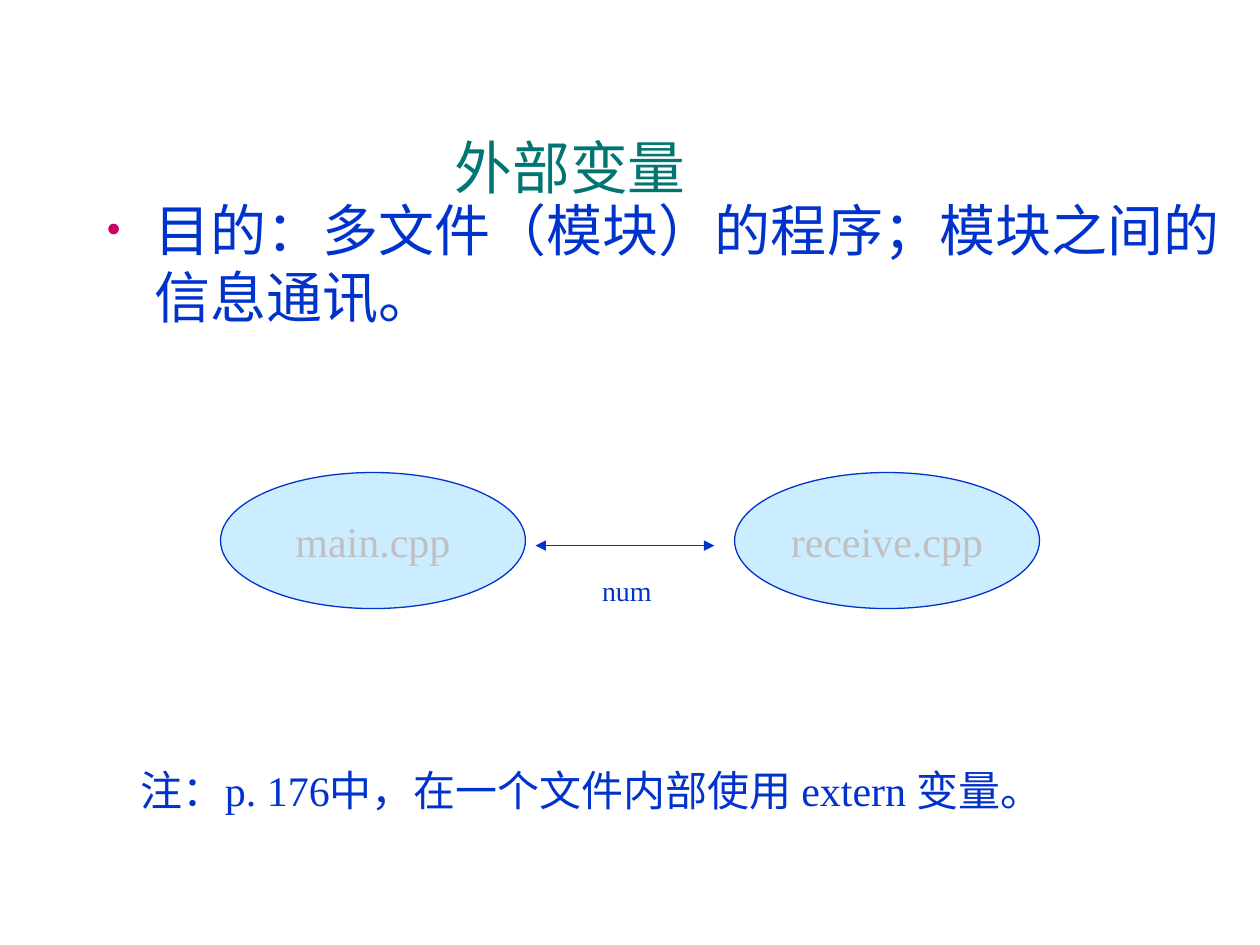
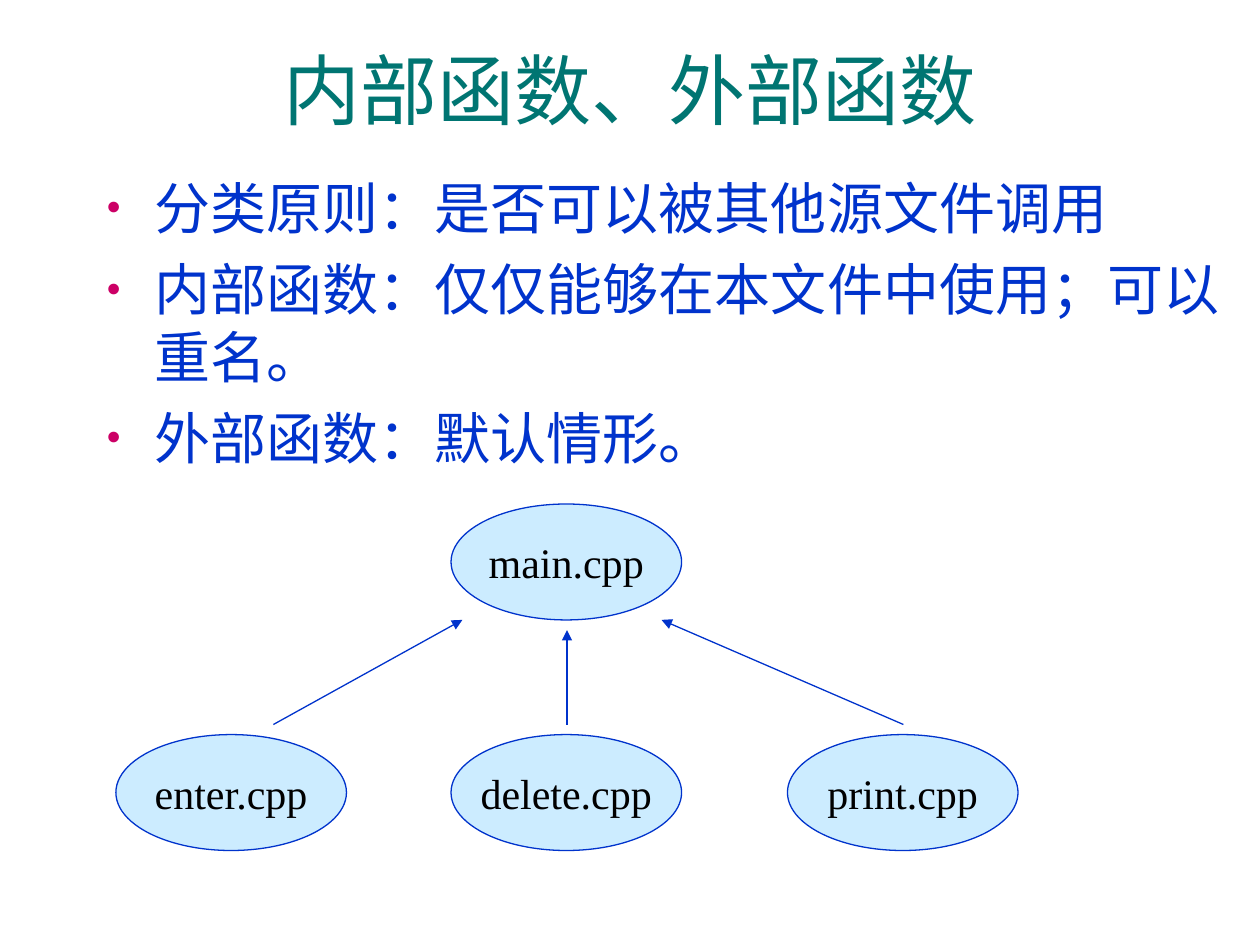
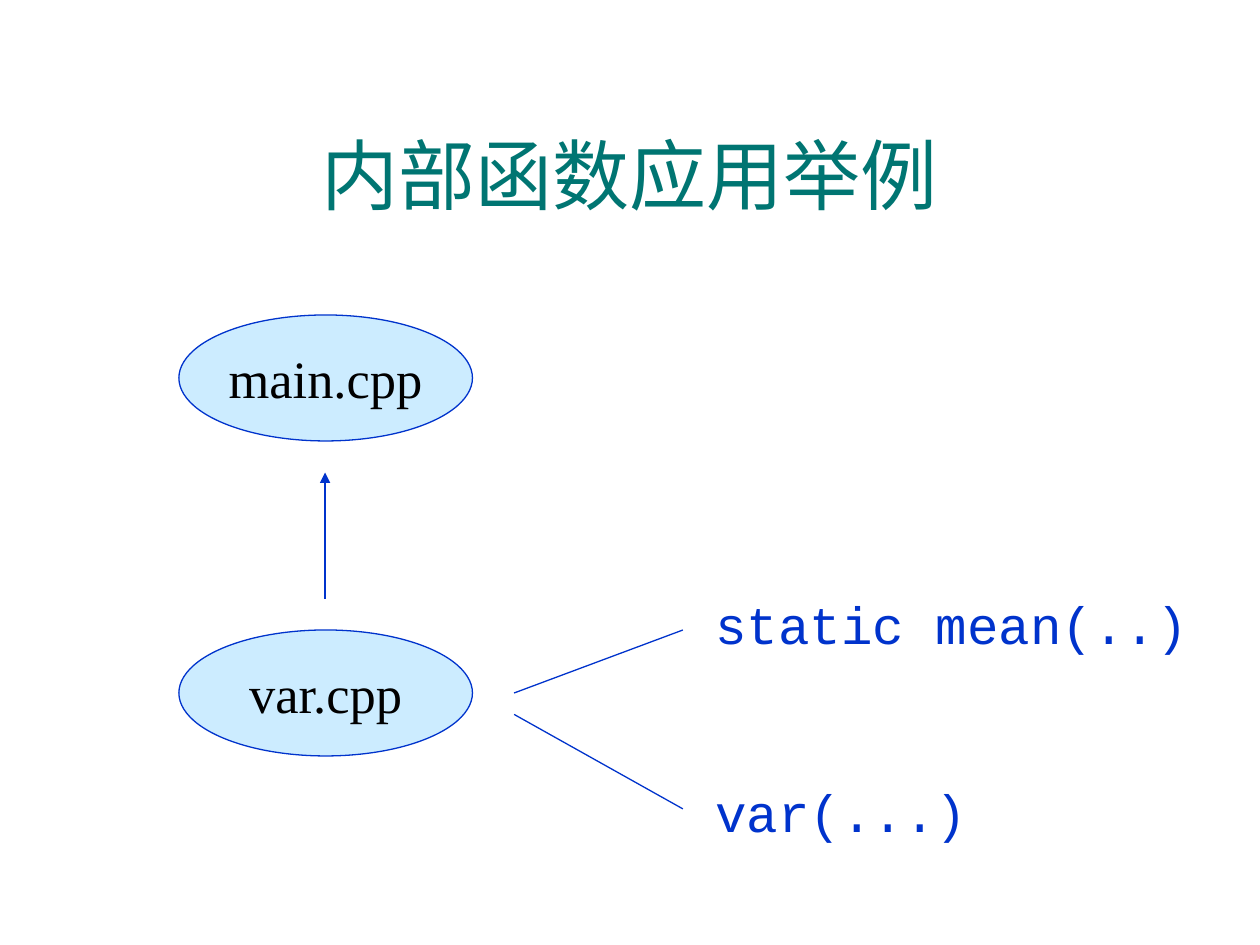
from lxml import etree
from pptx import Presentation
from pptx import util as u
from pptx.dml.color import RGBColor
from pptx.enum import shapes, text
from pptx.oxml import ns

TEAL = RGBColor(0x00, 0x75, 0x72)
BLUE = RGBColor(0x00, 0x33, 0xCC)
PALE = RGBColor(0xCC, 0xEC, 0xFF)
GREY = RGBColor(0xC0, 0xC0, 0xC0)
BLACK = RGBColor(0, 0, 0)
PINK = RGBColor(0xCC, 0x00, 0x66)
SANS, SERIF, MONO = "Arial", "Times New Roman", "Courier New"
LINE_WIDTH = u.Pt(0.75)


def add_element(parent, tag, **attributes):
    return etree.SubElement(parent, ns.qn(tag), attributes)


def add_bullet(para):
    properties = para._p.get_or_add_pPr()
    indent = u.Inches(0.38)
    properties.set("marL", str(indent))
    properties.set("indent", str(-indent))
    add_element(add_element(properties, "a:buClr"), "a:srgbClr", val=str(PINK))
    add_element(properties, "a:buSzPct", val="70000")
    add_element(properties, "a:buFont", typeface=SANS)
    add_element(properties, "a:buChar", char="•")


def write_text(frame, lines, *, size, color, font=SERIF, align=text.PP_ALIGN.LEFT,
               anchor=text.MSO_ANCHOR.TOP, wrap=True, bullet=False, gap=0):
    frame.word_wrap = wrap
    frame.vertical_anchor = anchor
    for index, line in enumerate(lines):
        para = frame.add_paragraph() if index else frame.paragraphs[0]
        para.alignment = align
        if bullet:
            add_bullet(para)
        if index:
            para.space_before = u.Pt(gap)
        span = para.add_run()
        span.text = line
        span.font.name = font
        span.font.size = u.Pt(size)
        span.font.color.rgb = color


def add_text(page, place, *lines, **style):
    box = page.shapes.add_textbox(*map(u.Inches, place))
    write_text(box.text_frame, lines, **style)


def add_title(page, place, title, size=44):
    add_text(page, place, title, size=size, color=TEAL, font=SANS,
             align=text.PP_ALIGN.CENTER, anchor=text.MSO_ANCHOR.MIDDLE)


def add_bullets(page, place, *lines):
    add_text(page, place, *lines, size=32, color=BLUE, font=SANS, bullet=True, gap=8)


def add_file(page, place, name, size=24, color=BLACK):
    oval = page.shapes.add_shape(shapes.MSO_SHAPE.OVAL, *map(u.Inches, place))
    oval.shadow.inherit = False
    oval.fill.solid()
    oval.fill.fore_color.rgb = PALE
    oval.line.color.rgb = BLUE
    oval.line.width = LINE_WIDTH
    write_text(oval.text_frame, [name], size=size, color=color, wrap=False,
               align=text.PP_ALIGN.CENTER, anchor=text.MSO_ANCHOR.MIDDLE)


def add_line(page, start, end, *arrow_ends):
    line = page.shapes.add_connector(
        shapes.MSO_CONNECTOR.STRAIGHT, *map(u.Inches, (*start, *end)))
    line.line.color.rgb = BLUE
    line.line.width = LINE_WIDTH
    for arrow_end in arrow_ends:
        add_element(line.line._get_or_add_ln(), arrow_end, type="triangle")
    add_element(line._element.spPr, "a:effectLst")


def build_external_variables(page):
    add_title(page, (1.54, 0.86, 5.97, 0.92), "外部变量", size=33)
    add_bullets(page, (0.75, 1.5, 9.25, 1.33),
                "目的：多文件（模块）的程序；模块之间的信息通讯。")
    add_text(page, (1.02, 6.02, 8.1, 0.5),
             "注：p. 176中，在一个文件内部使用 extern 变量。", size=24, color=BLUE)
    for left, name in ((1.75, "main.cpp"), (5.83, "receive.cpp")):
        add_file(page, (left, 3.75, 2.42, 1.08), name, color=GREY)
    add_line(page, (4.25, 4.33), (5.67, 4.33), "a:headEnd", "a:tailEnd")
    add_text(page, (4.68, 4.5, 0.7, 0.37), "num", size=16, color=BLUE)


def build_function_kinds(page):
    add_title(page, (0.75, 0.08, 8.5, 1.25), "内部函数、外部函数")
    add_bullets(page, (0.75, 1.33, 9.25, 2.5),
                "分类原则：是否可以被其他源文件调用",
                "内部函数：仅仅能够在本文件中使用；可以重名。",
                "外部函数：默认情形。")
    width, height = 1.83, 0.92
    add_file(page, (3.58, 4, width, height), "main.cpp")
    for left, name in ((0.92, "enter.cpp"), (3.58, "delete.cpp"), (6.25, "print.cpp")):
        add_file(page, (left, 5.83, width, height), name)
    for start, end in ((2.17, (3.67, 4.92)), (4.5, (4.5, 5)), (7.17, (5.25, 4.92))):
        add_line(page, (start, 5.75), end, "a:tailEnd")


def build_internal_example(page):
    add_title(page, (0.33, 0.75, 9.34, 1.25), "内部函数应用举例")
    for top, name in ((2.5, "main.cpp"), (5, "var.cpp")):
        add_file(page, (1.42, top, 2.33, 1), name, size=30)
    add_text(page, (5.58, 4.65, 4, 2.1), "static mean(..)", "var(...)",
             size=30, color=BLUE, font=MONO, gap=71.5)
    add_line(page, (4.08, 5.5), (5.42, 5))
    add_line(page, (4.08, 5.67), (5.42, 6.42))
    add_line(page, (2.58, 4.75), (2.58, 3.75), "a:tailEnd")


def main():
    deck = Presentation()
    deck.slide_width = u.Inches(10)
    deck.slide_height = u.Inches(7.5)
    blank = deck.slide_layouts[6]
    for build in (build_external_variables, build_function_kinds, build_internal_example):
        build(deck.slides.add_slide(blank))
    deck.save("out.pptx")


if __name__ == "__main__":
    main()
